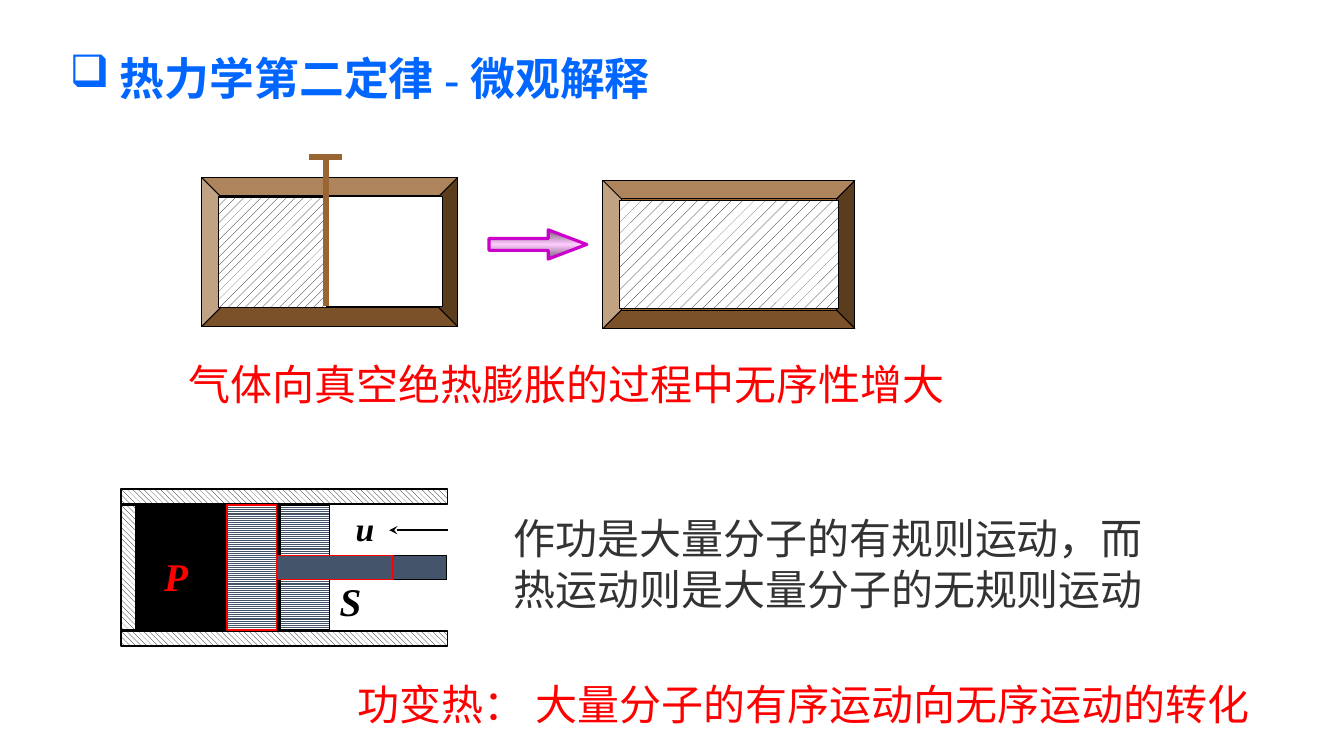
"""Build a slide on the microscopic meaning of the second law of thermodynamics."""
from lxml import etree
from pptx import Presentation
from pptx.dml.color import RGBColor
from pptx.enum.dml import MSO_PATTERN
from pptx.enum.lang import MSO_LANGUAGE_ID
from pptx.enum.shapes import MSO_CONNECTOR, MSO_SHAPE
from pptx.enum.text import MSO_ANCHOR, MSO_AUTO_SIZE, PP_ALIGN
from pptx.oxml.ns import qn
from pptx.util import Inches, Pt

RECTANGLE, BEVEL, ARROW = MSO_SHAPE.RECTANGLE, MSO_SHAPE.BEVEL, MSO_SHAPE.RIGHT_ARROW
SPARSE, DENSE = MSO_PATTERN.PERCENT_10, MSO_PATTERN.PERCENT_20
STRIPES, ROD_STRIPES = MSO_PATTERN.LIGHT_HORIZONTAL, MSO_PATTERN.DARK_HORIZONTAL
HATCH = MSO_PATTERN.WIDE_DOWNWARD_DIAGONAL
CHINESE = MSO_LANGUAGE_ID.SIMPLIFIED_CHINESE

BLACK, WHITE = RGBColor(0, 0, 0), RGBColor(255, 255, 255)
BLUE, RED = RGBColor(0x00, 0x66, 0xFF), RGBColor(255, 0, 0)
GRAY, SLATE = RGBColor(0x33, 0x33, 0x33), RGBColor(0x44, 0x54, 0x6A)
BROWN, MAGENTA = RGBColor(0x99, 0x66, 0x33), RGBColor(0xCC, 0x00, 0xCC)
ARROW_STOPS = [(0, "765E76"), (50, "FFCCFF"), (100, "765E76")]

SERIF, SANS = "Times New Roman", "Roboto"
TITLE = "热力学第二定律 - 微观解释"
TITLE_BOX = (0.59, 0.45, 7.55, 0.64)
TITLE_FORMAT = {"name": SERIF, "size": Pt(32), "bold": True}
RED_FORMAT = {"name": SERIF, "size": Pt(30)}
BODY_FORMAT = {"name": SANS, "size": Pt(30)}
SYMBOL_FORMAT = {"name": SERIF, "size": Pt(28), "bold": True, "italic": True}
SPEED_FORMAT = {**SYMBOL_FORMAT, "size": Pt(24)}

STATEMENTS = [
    ("气体向真空绝热膨胀的过程中无序性增大", (1.77, 3.51, 9.15, 0.61), RED, RED_FORMAT, True),
    ("功变热： 大量分子的有序运动向无序运动的转化", (3.45, 6.68, 9.14, 0.61), RED, RED_FORMAT, False),
    ("作功是大量分子的有规则运动，而热运动则是大量分子的无规则运动",
     (4.99, 5.04, 6.67, 1.11), GRAY, BODY_FORMAT, True),
]
SYMBOLS = [
    ("u", (3.43, 4.99, 0.39, 0.51), BLACK, SPEED_FORMAT, False),
    ("S", (3.27, 5.68, 0.52, 0.57), BLACK, SYMBOL_FORMAT, True),
    ("P", (1.53, 5.43, 0.44, 0.57), RED, SYMBOL_FORMAT, False),
]
FULL_CHAMBER = ((5.98, 1.79, 2.5, 1.47), (6.14, 1.99, 2.18, 1.07))
HALF_CHAMBER = ((2, 1.76, 2.54, 1.48), (2.17, 1.95, 2.22, 1.09))
HALF_GAS = (2.17, 1.96, 1.07, 1.09)
EXPANSION_ARROW = (4.85, 2.28, 0.97, 0.29)
DIVIDER_X, DIVIDER_TOP, HANDLE_HALF = 3.23, 1.56, 0.165

CYLINDER_LEFT, CYLINDER_RIGHT, WALL = 1.2, 4.44, 0.15
BORE_TOP, BORE_HEIGHT = 5.01, 1.24
PISTON_WIDTH, ROD_LENGTH, ROD_HEIGHT = 0.49, 1.15, 0.24
PISTON_START, PISTON_END = 2.78, 2.25


def new_shape(slide, kind, box, line_color=BLACK, width=1):
    shape = slide.shapes.add_shape(kind, *map(Inches, box))
    shape.shadow.inherit = False
    shape.line.color.rgb = line_color
    shape.line.width = Pt(width)
    return shape


def add_solid(slide, kind, box, color, width=1):
    shape = new_shape(slide, kind, box, width=width)
    shape.fill.solid()
    shape.fill.fore_color.rgb = color
    return shape


def add_pattern(slide, box, pattern, color=BLACK, line_color=BLACK, width=1):
    fill = new_shape(slide, RECTANGLE, box, line_color, width).fill
    fill.patterned()
    fill.pattern = pattern
    fill.fore_color.rgb = color
    fill.back_color.rgb = WHITE


def add_line(slide, start, end, color, width):
    line = slide.shapes.add_connector(MSO_CONNECTOR.STRAIGHT, *map(Inches, start + end))
    line.line.color.rgb = color
    line.line.width = Pt(width)
    etree.SubElement(line._element.spPr, qn("a:effectLst"))
    return line


def format_font(font, color, values):
    for name, value in values.items():
        setattr(font, name, value)
    font.color.rgb = color
    font.language_id = CHINESE


def add_text(slide, text, box, color, values, wrap):
    frame = slide.shapes.add_textbox(*map(Inches, box)).text_frame
    frame.word_wrap = wrap
    run = frame.paragraphs[0].add_run()
    run.text = text
    format_font(run.font, color, values)


def add_title(slide):
    title = slide.shapes.title
    title.left, title.top, title.width, title.height = map(Inches, TITLE_BOX)
    frame = title.text_frame
    frame.auto_size, frame.vertical_anchor = MSO_AUTO_SIZE.NONE, MSO_ANCHOR.TOP
    paragraph = frame.paragraphs[0]
    paragraph.alignment = PP_ALIGN.LEFT
    properties = paragraph._p.get_or_add_pPr()
    properties.set("marL", str(Inches(0.5)))
    properties.set("indent", str(-Inches(0.5)))
    etree.SubElement(properties, qn("a:buChar"), char="❑")
    run = paragraph.add_run()
    run.text = TITLE
    format_font(run.font, BLUE, TITLE_FORMAT)


def add_expansion_arrow(slide):
    arrow = new_shape(slide, ARROW, EXPANSION_ARROW, MAGENTA, 2.25)
    arrow.adjustments[0], arrow.adjustments[1] = 0.403, 1.318
    arrow.fill.gradient()
    arrow.fill.gradient_angle = 270
    stops = arrow._element.spPr.find(qn("a:gradFill")).find(qn("a:gsLst"))
    for stop in list(stops):
        stops.remove(stop)
    for share, color in ARROW_STOPS:
        stop = etree.SubElement(stops, qn("a:gs"), pos=str(share * 1000))
        etree.SubElement(stop, qn("a:srgbClr"), val=color)


def add_expansion(slide):
    add_expansion_arrow(slide)
    frame, interior = FULL_CHAMBER
    add_solid(slide, BEVEL, frame, BROWN, 0.75)
    add_pattern(slide, interior, SPARSE, width=0.75)
    frame, interior = HALF_CHAMBER
    add_solid(slide, BEVEL, frame, BROWN, 0.75)
    add_solid(slide, RECTANGLE, interior, WHITE, 0.75)
    add_pattern(slide, HALF_GAS, DENSE, width=0.75)
    floor = interior[1] + interior[3]
    add_line(slide, (DIVIDER_X, DIVIDER_TOP), (DIVIDER_X, floor), BROWN, 4.5)
    add_line(slide, (DIVIDER_X - HANDLE_HALF, DIVIDER_TOP),
             (DIVIDER_X + HANDLE_HALF, DIVIDER_TOP), BROWN, 4.5)


def add_piston(slide, left, line_color):
    rod_top = BORE_TOP + (BORE_HEIGHT - ROD_HEIGHT) / 2
    add_pattern(slide, (left, BORE_TOP, PISTON_WIDTH, BORE_HEIGHT), STRIPES, SLATE, line_color)
    add_pattern(slide, (left + PISTON_WIDTH + 0.01, rod_top, ROD_LENGTH, ROD_HEIGHT),
                ROD_STRIPES, SLATE, line_color)


def add_cylinder(slide):
    add_piston(slide, PISTON_START, BLACK)
    gas_left = CYLINDER_LEFT + WALL + 0.02
    add_solid(slide, RECTANGLE, (gas_left, BORE_TOP, 1.4, BORE_HEIGHT), BLACK)
    length = CYLINDER_RIGHT - CYLINDER_LEFT
    add_pattern(slide, (CYLINDER_LEFT, BORE_TOP, WALL, BORE_HEIGHT), HATCH)
    for top in (BORE_TOP - WALL - 0.01, BORE_TOP + BORE_HEIGHT + 0.01):
        add_pattern(slide, (CYLINDER_LEFT, top, length, WALL), HATCH)
    speed = add_line(slide, (3.86, 5.26), (CYLINDER_RIGHT, 5.26), BLACK, 1)
    etree.SubElement(speed.line._get_or_add_ln(), qn("a:headEnd"), type="stealth")
    for symbol in SYMBOLS:
        add_text(slide, *symbol)
    add_piston(slide, PISTON_END, RED)


def main():
    presentation = Presentation()
    presentation.slide_width, presentation.slide_height = Inches(13.33), Inches(7.5)
    slide = presentation.slides.add_slide(presentation.slide_layouts[5])
    add_title(slide)
    add_expansion(slide)
    add_cylinder(slide)
    for statement in STATEMENTS:
        add_text(slide, *statement)
    presentation.save("out.pptx")


if __name__ == "__main__":
    main()
